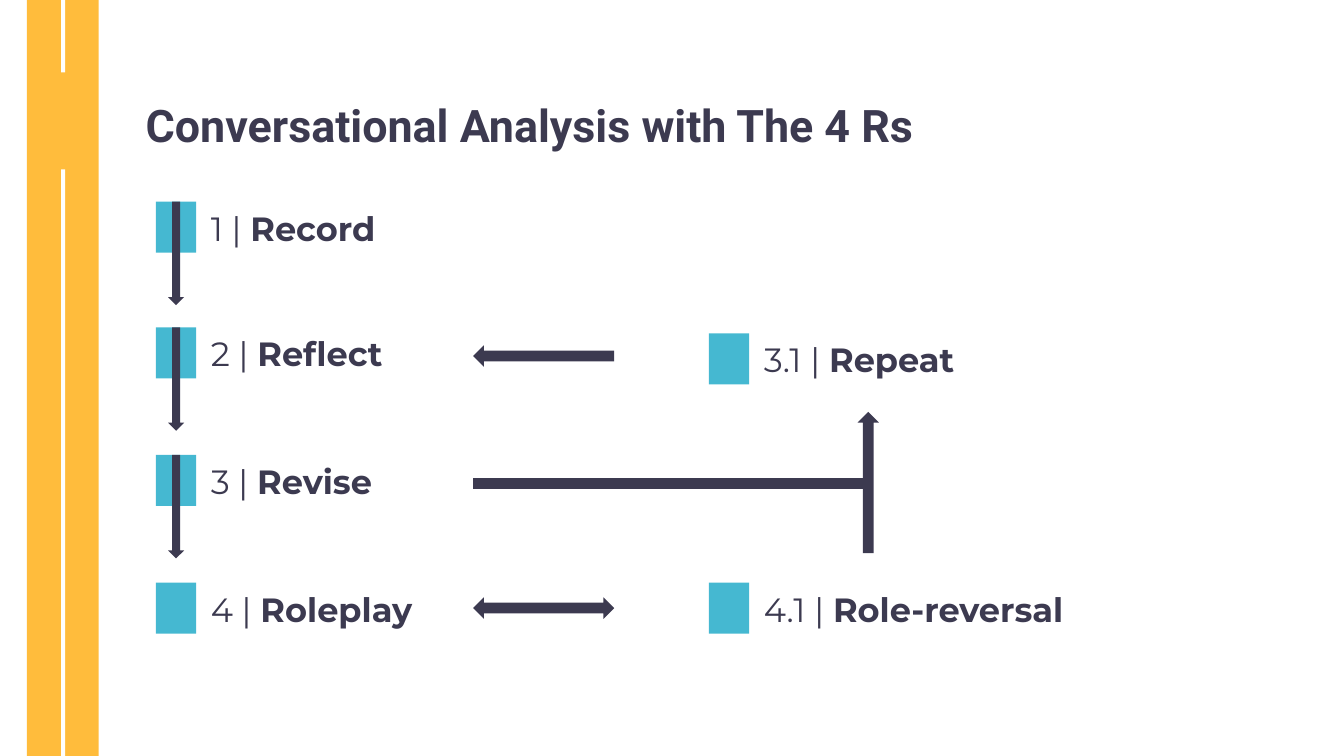
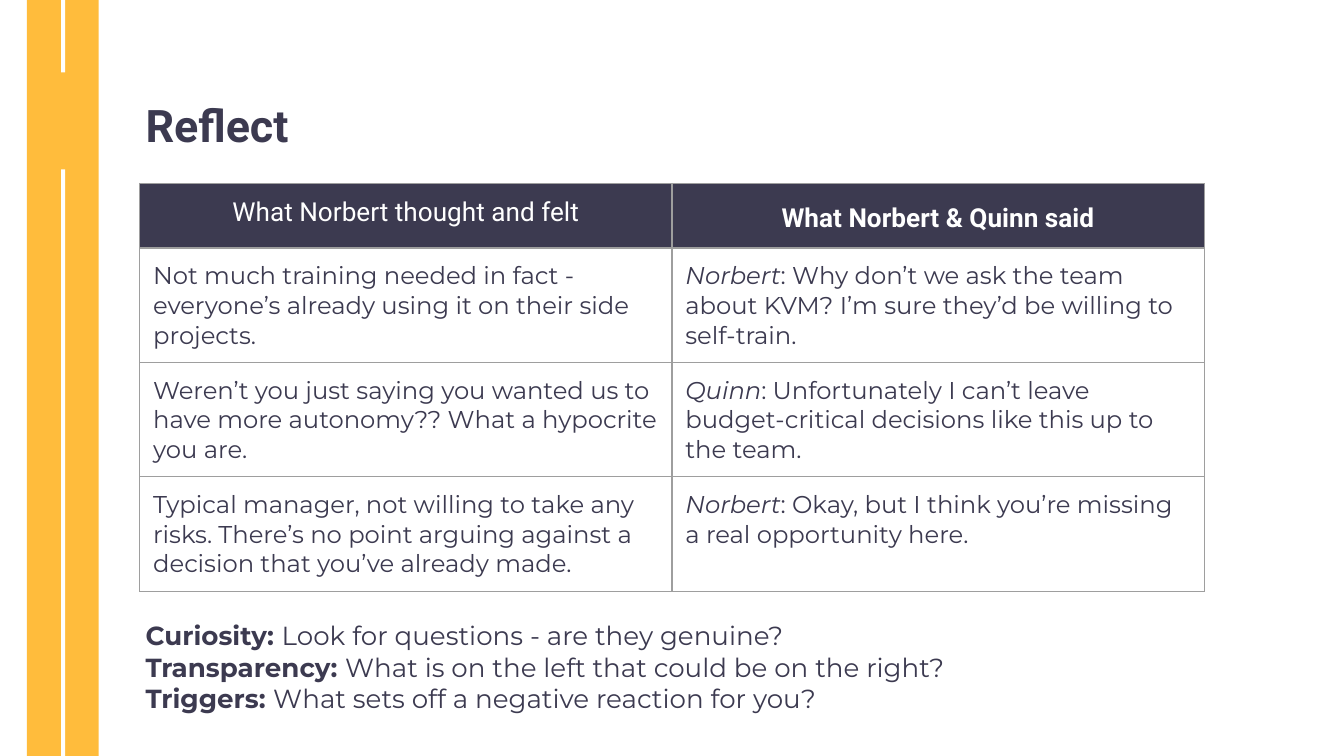
import pptx
import pptx.util
import pptx.dml.color
import pptx.enum.shapes
import pptx.enum.text
import pptx.oxml.ns
from lxml import etree

PX = 4572  # 200 px to the inch
SLIDE_W, SLIDE_H = 2000, 1125
INSET = 20
COLORS = {"band": "FFBC3C", "white": "FFFFFF", "ink": "3C3A50",
          "step": "009FC0", "grid": "9E9E9E"}
HEAD, BODY = "Roboto", "Montserrat"
SHAPE = pptx.enum.shapes.MSO_SHAPE

STEP_TITLE = "Conversational Analysis with The 4 Rs"
# number, name, left and top of the square, label width, arrow to the next step
STEPS = [
    ("1", "Record", 232, 300, 380, True),
    ("2", "Reflect", 232, 487, 380, True),
    ("3", "Revise", 232, 677, 380, True),
    ("4", "Roleplay", 232, 867, 380, False),
    ("3.1", "Repeat", 1055, 496, 380, False),
    ("4.1", "Role-reversal", 1055, 867, 568, False),
]
SQUARE_W, SQUARE_H = 60, 76
# shape, left, top, rotation
LOOP_ARROWS = [
    (SHAPE.LEFT_RIGHT_ARROW, 704, 889, 0),
    (SHAPE.LEFT_ARROW, 704, 514, 0),
    (SHAPE.LEFT_ARROW, 1187, 702, 90),
]
REVISE_LINE = (704, 720, 1296, 720)

REFLECT_TITLE = "Reflect"
# every run is (text, style), with "b" for bold and "i" for italic
HEADERS = [("What Norbert thought and felt", ""), ("What Norbert & Quinn said", "b")]
DIALOGUE = [
    ("Not much training needed in fact - everyone’s already using it on their side projects.",
     "Norbert", ": Why don’t we ask the team about KVM? I’m sure they’d be willing to self-train."),
    ("Weren’t you just saying you wanted us to have more autonomy?? What a hypocrite you are.",
     "Quinn", ": Unfortunately I can’t leave budget-critical decisions like this up to the team."),
    ("Typical manager, not willing to take any risks. There’s no point arguing against "
     "a decision that you’ve already made.",
     "Norbert", ": Okay, but I think you’re missing a real opportunity here."),
]
QUESTIONS = [
    ("Curiosity: ", "Look for questions - are they genuine?"),
    ("Transparency: ", "What is on the left that could be on the right?"),
    ("Triggers: ", "What sets off a negative reaction for you?"),
]
TABLE_LEFT, TABLE_TOP, COL_W, ROW_H = 208, 273, 792, 84


def rgb(name):
    return pptx.dml.color.RGBColor.from_string(COLORS[name])


def emu(*lengths):
    return [n * PX for n in lengths]


def set_margins(holder):
    """Give a text frame or a table cell the shared inset."""
    holder.margin_left = holder.margin_right = INSET * PX
    holder.margin_top = holder.margin_bottom = INSET * PX


def write(tf, paragraphs, size, font=BODY, color="ink"):
    """Fill a text frame; each paragraph is a list of (text, style) runs."""
    for i, runs in enumerate(paragraphs):
        p = tf.add_paragraph() if i else tf.paragraphs[0]
        p.font.size = pptx.util.Pt(size)
        p.font.name = font
        p.font.color.rgb = rgb(color)
        for text, style in runs:
            r = p.add_run()
            r.text = text
            r.font.bold = "b" in style
            r.font.italic = "i" in style


def add_text(s, box, paragraphs, size, font=BODY):
    tf = s.shapes.add_textbox(*emu(*box)).text_frame
    tf.word_wrap = True
    set_margins(tf)
    write(tf, paragraphs, size, font)


def add_filled(s, kind, box, color, rotation=0, alpha=None):
    sp = s.shapes.add_shape(kind, *emu(*box))
    sp.shadow.inherit = False
    sp.fill.solid()
    sp.fill.fore_color.rgb = rgb(color)
    sp.line.fill.background()
    sp.rotation = rotation
    if alpha:
        clr = sp._element.spPr.find(".//" + pptx.oxml.ns.qn("a:srgbClr"))
        etree.SubElement(clr, pptx.oxml.ns.qn("a:alpha"), val=str(alpha * 1000))


def add_slide(prs, title):
    s = prs.slides.add_slide(prs.slide_layouts[6])
    add_filled(s, SHAPE.RECTANGLE, (40, 0, 107, SLIDE_H), "band")
    for top, height in ((252, SLIDE_H - 252), (0, 108)):
        add_filled(s, SHAPE.RECTANGLE, (91, top, 6, height), "white")
    add_text(s, (197, 126, 1454, 148), [[(title, "b")]], 24, HEAD)
    return s


def add_border(cell):
    tc_pr = cell._tc.get_or_add_tcPr()
    for side in ("lnL", "lnR", "lnT", "lnB"):
        ln = etree.SubElement(tc_pr, pptx.oxml.ns.qn("a:" + side),
                              w=str(pptx.util.Pt(0.75)))
        fill = etree.SubElement(ln, pptx.oxml.ns.qn("a:solidFill"))
        etree.SubElement(fill, pptx.oxml.ns.qn("a:srgbClr"), val=COLORS["grid"])


def build_steps(prs):
    s = add_slide(prs, STEP_TITLE)
    for number, name, left, top, width, leads_on in STEPS:
        add_filled(s, SHAPE.RECTANGLE, (left, top, SQUARE_W, SQUARE_H), "step", alpha=73)
        add_text(s, (left + 62, top - 11, width, 92),
                 [[(number + " | ", ""), (name, "b")]], 18)
        if leads_on:
            add_filled(s, SHAPE.LEFT_ARROW, (left - 47, top + 65, 154, 24), "ink", 270)
    for kind, left, top, rotation in LOOP_ARROWS:
        add_filled(s, kind, (left, top, 210, 32), "ink", rotation)
    line = s.shapes.add_connector(pptx.enum.shapes.MSO_CONNECTOR.STRAIGHT,
                                  *emu(*REVISE_LINE))
    line.line.color.rgb = rgb("ink")
    line.line.width = pptx.util.Pt(6)
    etree.SubElement(line._element.spPr, pptx.oxml.ns.qn("a:effectLst"))


def build_reflect(prs):
    s = add_slide(prs, REFLECT_TITLE)
    add_text(s, (197, 902, 1568, 182),
             [[(label, "b"), (question, "")] for label, question in QUESTIONS], 14)
    rows = [[[header] for header in HEADERS]]
    rows += [[[(thought, "")], [(who, "i"), (said, "")]]
             for thought, who, said in DIALOGUE]
    table = s.shapes.add_table(len(rows), 2, *emu(
        TABLE_LEFT, TABLE_TOP, 2 * COL_W, len(rows) * ROW_H)).table
    table.first_row = table.horz_banding = False
    for i, row in enumerate(rows):
        for j, runs in enumerate(row):
            cell = table.cell(i, j)
            set_margins(cell)
            add_border(cell)
            if i:
                cell.fill.background()
                write(cell.text_frame, [runs], 13)
            else:
                cell.fill.solid()
                cell.fill.fore_color.rgb = rgb("ink")
                write(cell.text_frame, [runs], 14, HEAD, "white")
                cell.text_frame.paragraphs[0].alignment = pptx.enum.text.PP_ALIGN.CENTER
    table.cell(0, 1).text_frame.paragraphs[0].line_spacing = 1.2


def main():
    prs = pptx.Presentation()
    prs.slide_width, prs.slide_height = emu(SLIDE_W, SLIDE_H)
    build_steps(prs)
    build_reflect(prs)
    prs.save("out.pptx")


if __name__ == "__main__":
    main()
